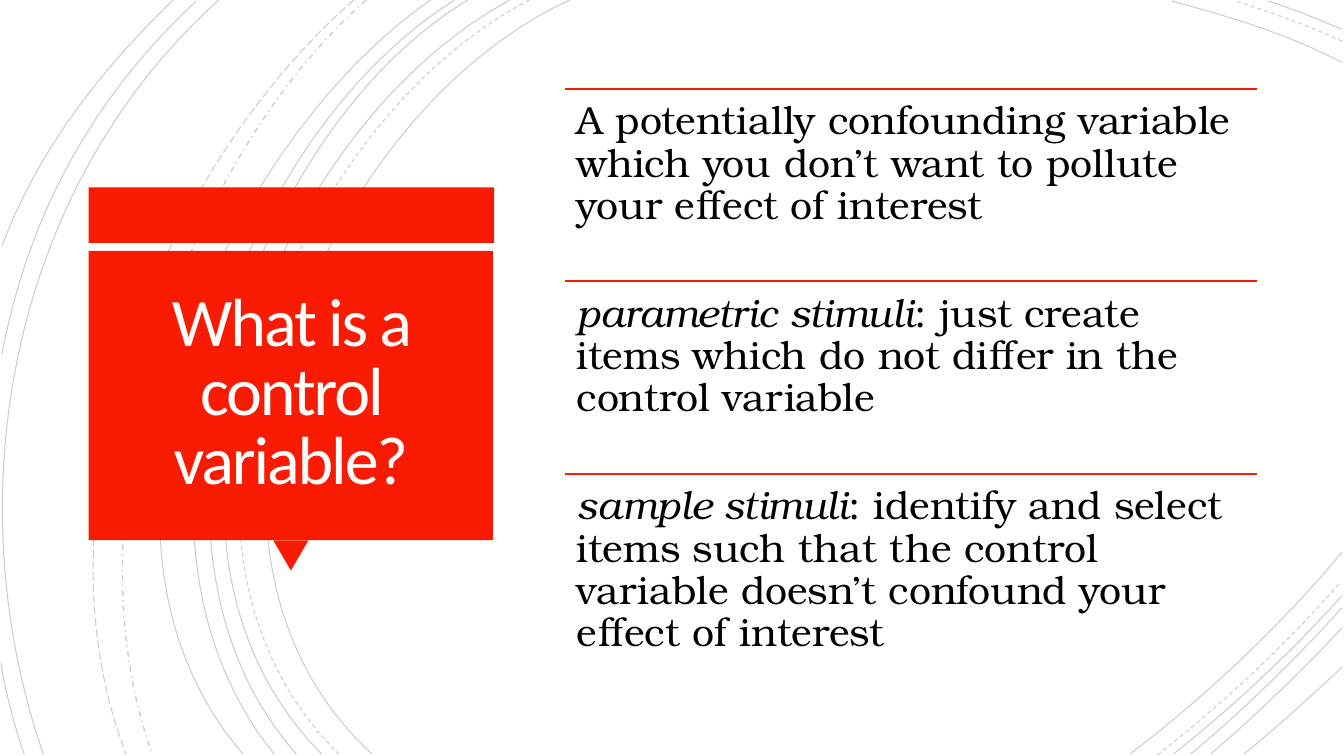
from pptx import Presentation
from pptx.dml.color import RGBColor
from pptx.enum.dml import MSO_LINE
from pptx.enum.shapes import MSO_CONNECTOR, MSO_SHAPE
from pptx.enum.text import MSO_ANCHOR, PP_ALIGN
from pptx.oxml.ns import qn
from pptx.util import Inches, Pt
from lxml import etree

SOLID, DASH = MSO_LINE.SOLID, MSO_LINE.DASH
DASH_DOT, LONG_DASH = MSO_LINE.DASH_DOT, MSO_LINE.LONG_DASH
RECTANGLE, TRIANGLE = MSO_SHAPE.RECTANGLE, MSO_SHAPE.ISOSCELES_TRIANGLE
STRAIGHT = MSO_CONNECTOR.STRAIGHT
TOP, MIDDLE = MSO_ANCHOR.TOP, MSO_ANCHOR.MIDDLE
LEFT, CENTER = PP_ALIGN.LEFT, PP_ALIGN.CENTER

# The grid has square cells of a hundredth of an inch
COLUMNS, ROWS = 1333, 750
CELL = Inches(0.01)

RED, BLACK, WHITE = "F81B02", "000000", "FFFEFF"
TITLE_FORMAT = {"name": "Calibri", "size": Pt(48.6)}
BODY_FORMAT = {"name": "TeX Gyre Bonum", "size": Pt(28)}

# Each arc: start, two control points, end
ARCS = {
    (SOLID, 0.75): [
        [(565, 0), (315, 115), (143, 540), (369, 748)],
        [(1331, 62), (1278, 34), (1218, 16), (1162, 1)],
        [(1121, 748), (1197, 690), (1269, 622), (1331, 548)],
        [(506, 0), (270, 127), (110, 537), (319, 748)],
        [(1331, 29), (1307, 19), (1283, 9), (1258, 1)],
        [(1164, 748), (1223, 701), (1280, 648), (1331, 591)],
        [(464, 0), (244, 133), (110, 541), (294, 748)],
        [(1181, 748), (1234, 704), (1284, 655), (1331, 603)],
        [(451, 0), (231, 138), (97, 533), (272, 748)],
        [(1201, 748), (1246, 709), (1290, 667), (1331, 623)],
        [(427, 0), (217, 147), (53, 529), (241, 748)],
        [(1234, 748), (1267, 721), (1299, 692), (1331, 662)],
        [(217, 0), (11, 185), (-46, 490), (43, 748)],
        [(195, 1), (92, 96), (28, 214), (2, 351)],
        [(1, 658), (6, 689), (14, 719), (24, 748)],
        [(172, 0), (100, 69), (37, 150), (2, 244)],
    ],
    (DASH, 0.75): [
        [(525, 0), (285, 125), (123, 537), (336, 748)],
        [(1331, 41), (1297, 25), (1260, 12), (1225, 1)],
        [(1148, 749), (1213, 698), (1275, 640), (1330, 577)],
    ],
    (DASH_DOT, 1): [[(363, 0), (176, 166), (65, 509), (151, 748)]],
    (LONG_DASH, 0.75): [[(351, 0), (157, 169), (29, 499), (125, 748)]],
}

# Each point: italic lead-in, then plain text
POINTS = [
    ("", "A potentially confounding variable which you don’t want to pollute "
         "your effect of interest"),
    ("parametric stimuli", ": just create items which do not differ in the control variable"),
    ("sample stimuli", ": identify and select items such that the control variable "
                       "doesn’t confound your effect of interest"),
]
POINT_LEFT, POINT_TOP, POINT_WIDTH, POINT_HEIGHT = 560, 88, 687, 191


def color(value):
    return RGBColor.from_string(value)


def cells(*counts):
    return [round(count * CELL) for count in counts]


class SlideBuilder:
    def __init__(self, presentation):
        self.slide = presentation.slides.add_slide(presentation.slide_layouts[6])
        self.shapes = self.slide.shapes

    def style_line(self, line, value, width, dash=SOLID):
        line.color.rgb = color(value)
        line.width = Pt(width)
        line.dash_style = dash

    def arc(self, points, dash, width):
        builder = self.shapes.build_freeform(*points[0], scale=CELL)
        builder.add_line_segments(points[1:], close=False)
        shape = builder.convert_to_shape()
        shape.shadow.inherit = False
        shape.fill.background()
        self.style_line(shape.line, BLACK, width, dash)
        # Join the three segments into one Bezier curve
        segments = shape._element.xpath(".//a:lnTo")
        curve = etree.Element(qn("a:cubicBezTo"))
        segments[0].addprevious(curve)
        for segment in segments:
            curve.append(segment[0])
            segment.getparent().remove(segment)
        # Let only a fifth of the black show
        tint = shape._element.xpath(".//a:ln//a:srgbClr")[0]
        etree.SubElement(tint, qn("a:alpha")).set("val", "20000")

    def block(self, kind, left, top, width, height, rotation=0):
        shape = self.shapes.add_shape(kind, *cells(left, top, width, height))
        shape.shadow.inherit = False
        shape.rotation = rotation
        shape.fill.solid()
        shape.fill.fore_color.rgb = color(RED)
        shape.line.fill.background()

    def rule(self, left, top, width):
        connector = self.shapes.add_connector(STRAIGHT, *cells(left, top, left + width, top))
        self.style_line(connector.line, RED, 1.25)
        etree.SubElement(connector._element.spPr, qn("a:effectLst"))

    def text(self, box, runs, font_format, value, inset, anchor=TOP,
             alignment=LEFT, line_spacing=0.9, tracking=0):
        frame = self.shapes.add_textbox(*cells(*box)).text_frame
        frame.word_wrap = True
        frame.vertical_anchor = anchor
        for side in ("left", "top", "right", "bottom"):
            setattr(frame, f"margin_{side}", inset * CELL)
        paragraph = frame.paragraphs[0]
        paragraph.alignment = alignment
        paragraph.line_spacing = line_spacing
        for words, italic in runs:
            run = paragraph.add_run()
            run.text = words
            for name, setting in {**font_format, "italic": italic}.items():
                setattr(run.font, name, setting)
            run.font.color.rgb = color(value)
            if tracking:
                run.font._element.set("spc", str(tracking))


def main():
    presentation = Presentation()
    presentation.slide_width, presentation.slide_height = cells(COLUMNS, ROWS)
    builder = SlideBuilder(presentation)

    # Background arcs
    for (dash, width), arcs in ARCS.items():
        for points in arcs:
            builder.arc(points, dash, width)

    # Red title card with its pointer
    builder.block(RECTANGLE, 88, 186, 402, 55)
    builder.block(TRIANGLE, 271, 536, 35, 30, rotation=180)
    builder.block(RECTANGLE, 88, 249, 401, 287)
    builder.text((97, 257, 383, 269), [("What is a control variable?", False)],
                 TITLE_FORMAT, WHITE, inset=25, anchor=MIDDLE, alignment=CENTER,
                 line_spacing=0.85, tracking=-150)

    # Points, each under a red rule
    for index, (lead, rest) in enumerate(POINTS):
        top = POINT_TOP + index * POINT_HEIGHT
        builder.rule(POINT_LEFT, top, POINT_WIDTH)
        runs = [(words, italic) for words, italic in ((lead, True), (rest, False)) if words]
        builder.text((POINT_LEFT, top, POINT_WIDTH, POINT_HEIGHT), runs,
                     BODY_FORMAT, BLACK, inset=12)

    presentation.save("out.pptx")


if __name__ == "__main__":
    main()
